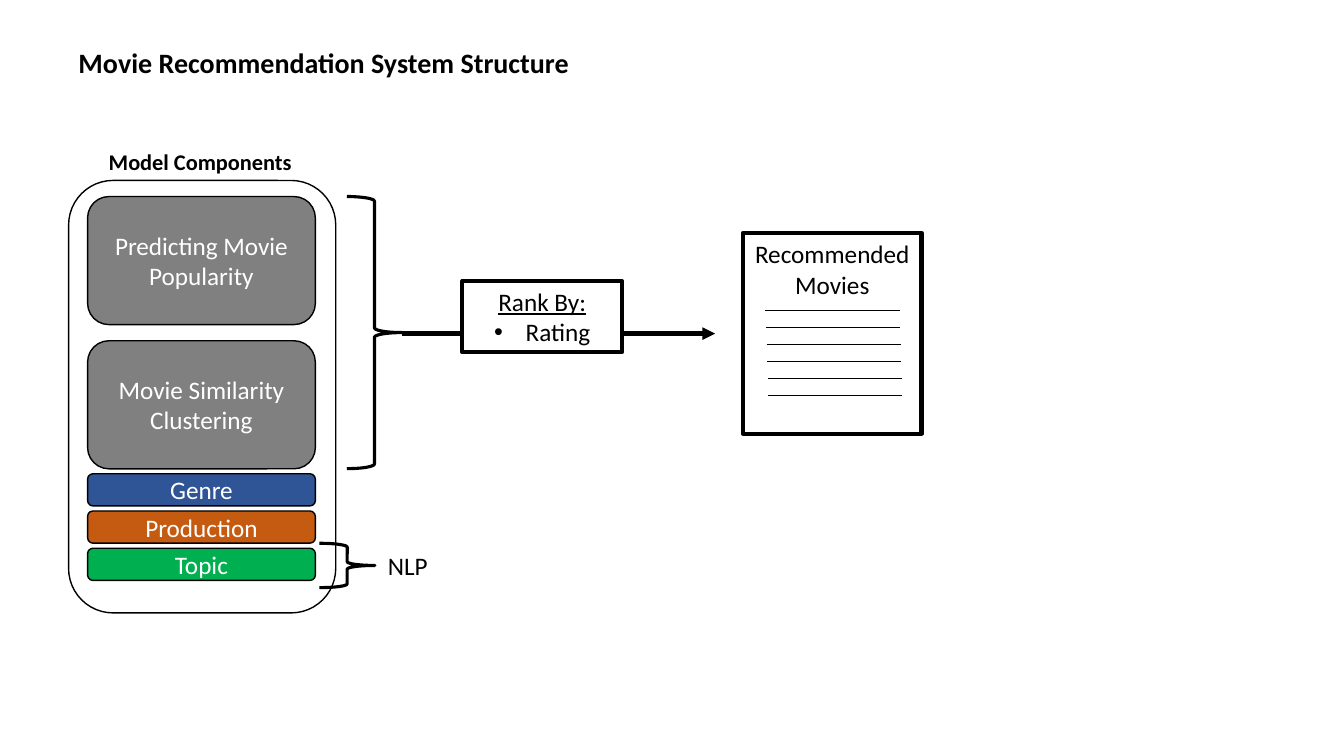
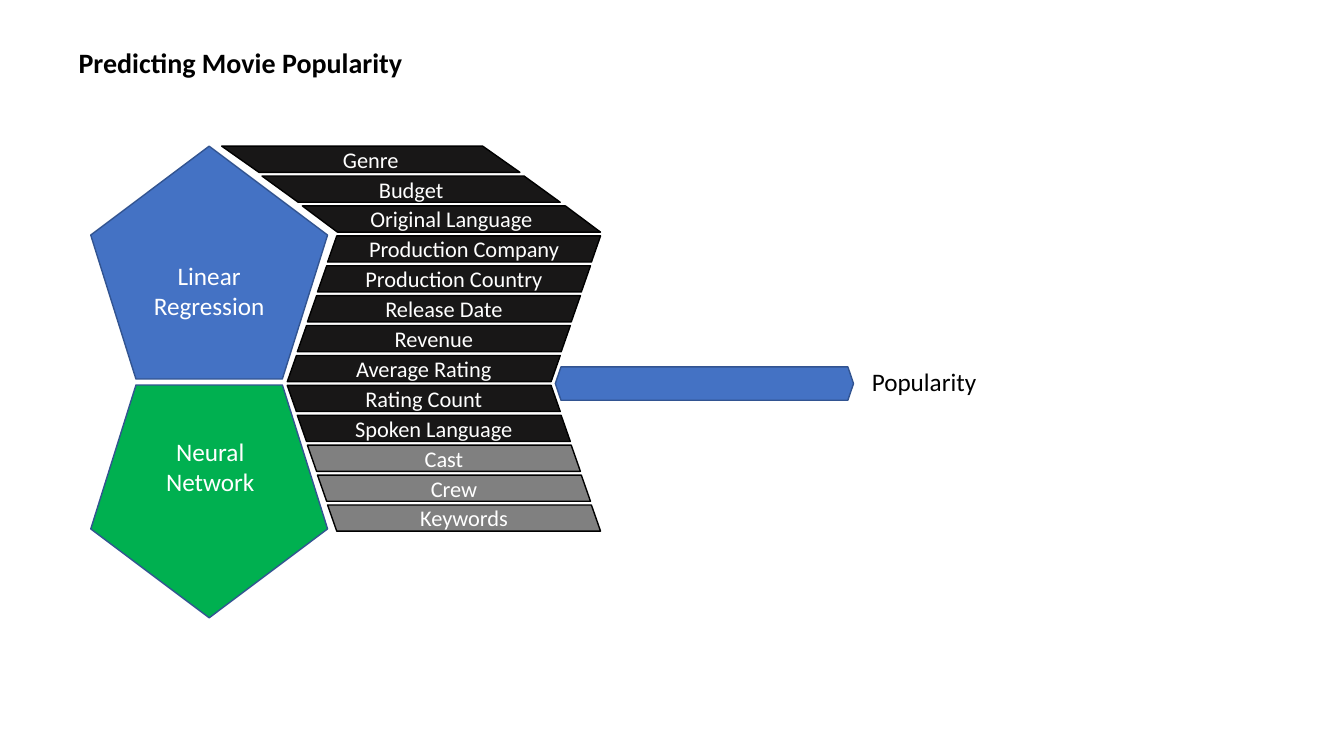
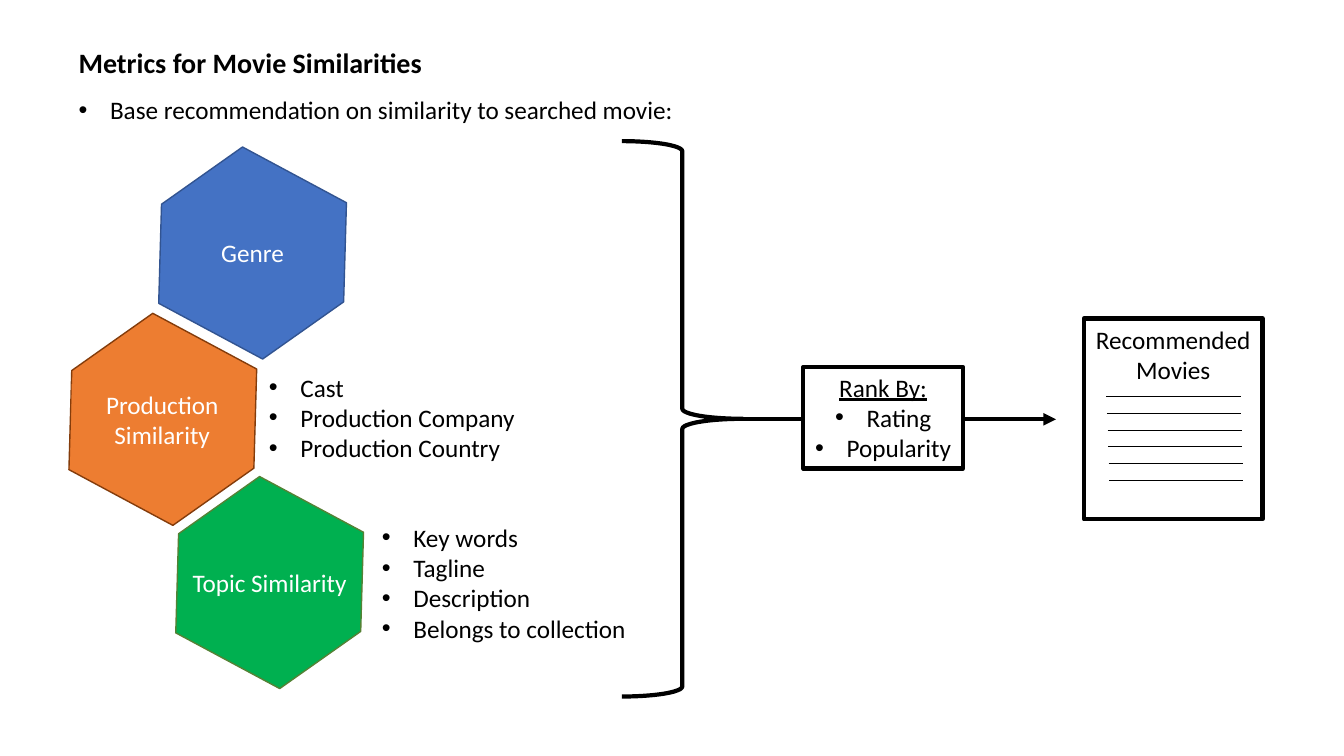
from lxml.etree import SubElement
from pptx import Presentation
from pptx.dml.color import RGBColor
from pptx.enum.shapes import MSO_CONNECTOR, MSO_SHAPE
from pptx.enum.text import MSO_ANCHOR, MSO_AUTO_SIZE, PP_ALIGN
from pptx.oxml.ns import qn
from pptx.util import Pt

FONT = "Calibri"
BLACK, WHITE, INK, GRAY = "000000", "FFFFFF", "181717", "808080"
BLUE, NAVY, DARK_BLUE = "4472C4", "325491", "2F5597"
GREEN, DARK_GREEN = "00B050", "548235"
ORANGE, RUST, BROWN = "ED7D31", "C55A11", "843C0B"
HANG = 22.5  # hanging indent of bulleted text
LEFT = 49


def rgb(value):
    """Turn a hex string into a colour."""
    return RGBColor.from_string(value)


def add_bullet(para, indent):
    """Give a paragraph a round bullet that hangs left of the indent."""
    props = para._p.get_or_add_pPr()
    props.set("marL", str(Pt(indent)))
    props.set("indent", str(-Pt(HANG)))
    SubElement(props, qn("a:buFont")).set("typeface", "Arial")
    SubElement(props, qn("a:buChar")).set("char", "•")


def write(para, text, size=18, color=BLACK, bold=False, underline=False):
    """Add one run to a paragraph."""
    span = para.add_run()
    span.text = text
    font = span.font
    font.name, font.size = FONT, Pt(size)
    font.bold, font.underline = bold, underline
    font.color.rgb = rgb(color)


def add_para(frame, index):
    """Return the first paragraph of a frame, or a new one after it."""
    return frame.add_paragraph() if index else frame.paragraphs[0]


def add_text(page, text, left, top, width, height, size=18, color=BLACK,
             bold=False, wrap=False, align=PP_ALIGN.LEFT):
    """Add a text box with one paragraph."""
    box = page.shapes.add_textbox(Pt(left), Pt(top), Pt(width), Pt(height))
    frame = box.text_frame
    frame.word_wrap = wrap
    frame.auto_size = MSO_AUTO_SIZE.SHAPE_TO_FIT_TEXT
    para = frame.paragraphs[0]
    para.alignment = align
    write(para, text, size, color, bold)


def add_list(page, items, left, top, width, height, indent=HANG):
    """Add a text box with a bulleted paragraph for each item."""
    box = page.shapes.add_textbox(Pt(left), Pt(top), Pt(width), Pt(height))
    frame = box.text_frame
    frame.word_wrap = True
    frame.auto_size = MSO_AUTO_SIZE.SHAPE_TO_FIT_TEXT
    for index, item in enumerate(items):
        para = add_para(frame, index)
        add_bullet(para, indent)
        write(para, item)


def add_shape(page, kind, left, top, width, height, fill=None, line=BLACK,
              weight=1, text="", size=18, adjust=()):
    """Add a preset shape with optional white, centred text."""
    shape = page.shapes.add_shape(kind, Pt(left), Pt(top), Pt(width), Pt(height))
    shape.shadow.inherit = False
    for index, value in enumerate(adjust):
        shape.adjustments[index] = value
    if fill:
        shape.fill.solid()
        shape.fill.fore_color.rgb = rgb(fill)
    else:
        shape.fill.background()
    if line:
        shape.line.color.rgb = rgb(line)
        shape.line.width = Pt(weight)
    else:
        shape.line.fill.background()
    if text:
        frame = shape.text_frame
        frame.word_wrap = True
        frame.vertical_anchor = MSO_ANCHOR.MIDDLE
        para = frame.paragraphs[0]
        para.alignment = PP_ALIGN.CENTER
        write(para, text, size, WHITE)
    return shape


def flip(shape):
    """Mirror a shape left to right."""
    shape.element.spPr.get_or_add_xfrm().set("flipH", "1")


def add_rule(page, left, top, length, weight, arrow=False):
    """Add a level line, with an arrowhead at its right end if asked."""
    rule = page.shapes.add_connector(MSO_CONNECTOR.STRAIGHT, Pt(left), Pt(top),
                                     Pt(left + length), Pt(top))
    rule.line.color.rgb = rgb(BLACK)
    rule.line.width = Pt(weight)
    props = rule.element.spPr
    if arrow:
        SubElement(props.find(qn("a:ln")), qn("a:tailEnd")).set("type", "triangle")
    SubElement(props, qn("a:effectLst"))


def add_ranking(page, left, middle, top, criteria):
    """Add the arrow, the ranking box on it and the sheet of results."""
    add_rule(page, left, middle, 223.5, 3, arrow=True)
    box = add_shape(page, MSO_SHAPE.RECTANGLE, left + 43, top, 114,
                    29 + 21.8 * len(criteria), WHITE, weight=3)
    frame = box.text_frame
    frame.word_wrap = True
    frame.vertical_anchor = MSO_ANCHOR.TOP
    for index, text in enumerate(["Rank By:"] + criteria):
        para = add_para(frame, index)
        para.alignment = PP_ALIGN.CENTER
        if index:
            add_bullet(para, HANG)
        write(para, text, underline=index == 0)

    sheet_left, sheet_top, sheet_width = left + 243.5, middle - 72, 127.5
    add_shape(page, MSO_SHAPE.RECTANGLE, sheet_left, sheet_top, sheet_width, 143.5,
              WHITE, weight=3)
    add_text(page, "Recommended Movies", sheet_left, sheet_top + 0.7, sheet_width, 51,
             wrap=True, align=PP_ALIGN.CENTER)
    for index in range(6):
        add_rule(page, sheet_left + 16 + 0.4 * index, sheet_top + 55.4 + 12.1 * index,
                 95.8, 0.5)


def add_page(deck, title, width):
    """Add a blank page with its title."""
    page = deck.slides.add_slide(deck.slide_layouts[6])
    add_text(page, title, LEFT, 28.8, width, 31.5, size=20, bold=True)
    return page


def build_structure(deck):
    """Show the model components and how they lead to recommendations."""
    page = add_page(deck, "Movie Recommendation System Structure", 368)
    left, width = 62.6, 162.7
    for index, text in enumerate(["Predicting Movie Popularity",
                                  "Movie Similarity Clustering"]):
        add_shape(page, MSO_SHAPE.ROUNDED_RECTANGLE, left, 140.4 + 103 * index,
                  width, 91.5, GRAY, text=text)
    add_shape(page, MSO_SHAPE.ROUNDED_RECTANGLE, LEFT, 128.9, 190.8, 308.9)
    add_text(page, "Model Components", 70.6, 102.2, 147, 26.6, size=16, bold=True)
    metrics = [("Genre", DARK_BLUE), ("Production", RUST), ("Topic", GREEN)]
    for index, (text, fill) in enumerate(metrics):
        add_shape(page, MSO_SHAPE.ROUNDED_RECTANGLE, left, 338.4 + 26.6 * index,
                  width, 23, fill, text=text)
    add_shape(page, MSO_SHAPE.RIGHT_BRACE, 228.2, 388.1, 39.6, 31.7, weight=2.25)
    add_text(page, "NLP", 270, 389.5, 43, 29)
    add_shape(page, MSO_SHAPE.RIGHT_BRACE, 247.7, 140.4, 39.6, 194.4, weight=2.25)
    add_ranking(page, 287.3, 238.3, 200.9, ["Rating"])


def build_popularity(deck):
    """Show the features that two models use to predict popularity."""
    page = add_page(deck, "Predicting Movie Popularity", 248)
    left, width, height = 64.8, 169.2, 166.3
    add_shape(page, MSO_SHAPE.REGULAR_PENTAGON, left, 104.4, width, height, BLUE, NAVY,
              text="Linear Regression")
    network = add_shape(page, MSO_SHAPE.REGULAR_PENTAGON, left, 275, width, height,
                        GREEN, NAVY)
    network.rotation = 180
    add_shape(page, MSO_SHAPE.RECTANGLE, 92.2, 307.4, 116, 51, GREEN, None,
              text="Neural Network")

    features = ["Genre", "Budget", "Original Language", "Production Company",
                "Production Country", "Release Date", "Revenue", "Average Rating",
                "Rating Count", "Spoken Language", "Cast", "Crew", "Keywords"]
    for index, text in enumerate(features):
        if index < 3:  # along the upper edge of the first pentagon
            bar_left, bar_width, slant = 158.4 + 28.8 * index, 213, 1.42 - 0.04 * index
        else:  # inwards to the waist, then out again
            steps = min(index - 3, 12 - index)
            bar_left, bar_width, slant = 234 - 7.2 * steps, 195, 0.35
        bar = add_shape(page, MSO_SHAPE.PARALLELOGRAM, bar_left, 104.4 + 21.36 * index,
                        bar_width, 18.7, INK if index < 10 else GRAY,
                        text=text, size=16, adjust=[slant])
        if index < 3 or index > 7:
            flip(bar)

    add_shape(page, MSO_SHAPE.LEFT_RIGHT_ARROW, 396.7, 262.1, 213, 23.8, BLUE, NAVY,
              adjust=[1, 0.17])
    add_text(page, "Popularity", 615.6, 257.8, 90, 29)


def build_similarity(deck):
    """Show the similarity metrics that feed the ranking."""
    page = add_page(deck, "Metrics for Movie Similarities", 262)
    add_list(page, ["Base recommendation on similarity to searched movie:"],
             LEFT, 64, 654.5, 29)
    hexagons = [(106.6, 117.4, BLUE, NAVY), (42.5, 236.2, ORANGE, BROWN),
                (118.8, 352.8, GREEN, DARK_GREEN)]
    for left, top, fill, line in hexagons:
        hexagon = add_shape(page, MSO_SHAPE.HEXAGON, left, top, 147.6, 126.7, fill, line)
        hexagon.rotation = 28.2
    add_text(page, "Genre", 150.5, 166.3, 59.8, 29, color=WHITE, align=PP_ALIGN.CENTER)
    add_shape(page, MSO_SHAPE.RECTANGLE, 51.1, 274.3, 129.6, 51, ORANGE, None,
              text="Production Similarity")
    add_shape(page, MSO_SHAPE.RECTANGLE, 129.6, 401.8, 126, 29, GREEN, None,
              text="Topic Similarity")
    add_list(page, ["Key words", "Tagline", "Description", "Belongs to collection"],
             229.7, 369.4, 242.6, 94.3, indent=58.5)
    add_list(page, ["Cast", "Production Company", "Production Country"],
             185, 262.1, 216.7, 72.7)
    add_shape(page, MSO_SHAPE.RIGHT_BRACE, 444.2, 100.8, 86.4, 396.7, weight=3)
    add_ranking(page, 530.8, 299.5, 262.1, ["Rating", "Popularity"])


def main():
    """Build and save the deck."""
    deck = Presentation()
    deck.slide_width, deck.slide_height = Pt(960), Pt(540)
    build_structure(deck)
    build_popularity(deck)
    build_similarity(deck)
    deck.save("out.pptx")


main()
